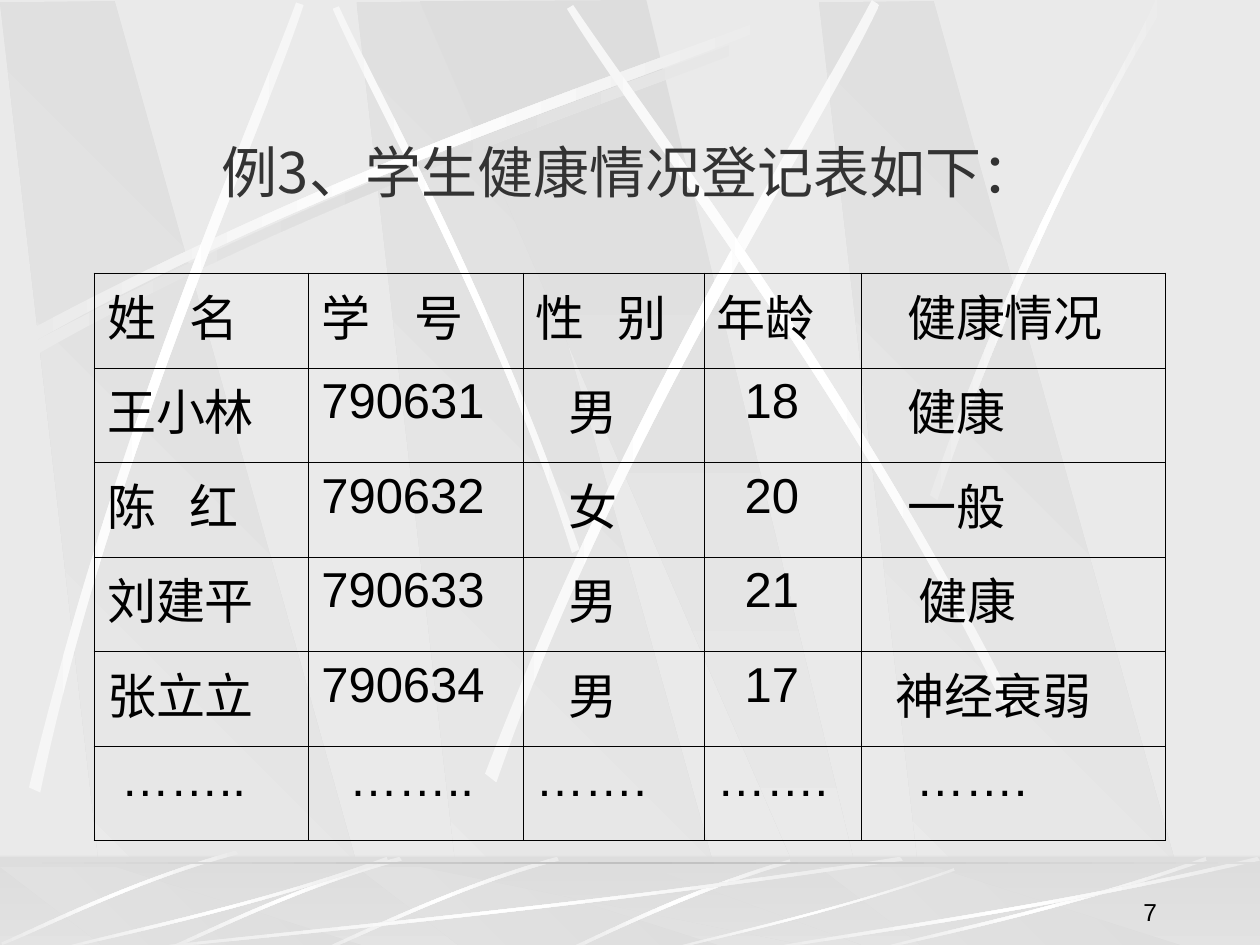
from dataclasses import dataclass
from typing import NamedTuple

from pptx import Presentation
from pptx.dml.color import RGBColor
from pptx.enum.shapes import MSO_SHAPE
from pptx.enum.text import MSO_ANCHOR, PP_ALIGN
from pptx.oxml.ns import qn
from pptx.oxml.xmlchemy import OxmlElement
from pptx.util import Inches, Pt


@dataclass(frozen=True)
class Theme:
    light: str = "EAEAEA"
    shade: str = "DDDDDD"
    soft: str = "F6F6F6"
    white: str = "FFFFFF"
    groove: str = "C0C0C0"
    title: str = "333333"
    text: str = "000000"
    latin: str = "Arial"
    chinese: str = "Noto Sans CJK SC"
    title_size: float = 32
    table_size: float = 28
    number_size: float = 14
    outer_border: float = 1.08
    inner_border: float = 0.45


THEME = Theme()
FADE = (THEME.shade, THEME.light)
SHADOW = (THEME.light, THEME.shade, THEME.light)
GLOW = (THEME.light, THEME.white, THEME.light)
SOFT_GLOW = (THEME.soft, THEME.white, THEME.soft)
GROOVE = (THEME.shade, THEME.groove, THEME.shade)


class Slab(NamedTuple):
    outline: tuple
    angle: int
    offsets: tuple = (0,)


class Streak(NamedTuple):
    outward: tuple
    inward: tuple
    offsets: tuple = ((0, 0),)
    colors: tuple = GLOW


class Entry(NamedTuple):
    text: str
    indent: float = 0
    tab: float = 0


WALL_SLABS = (
    Slab(((0.86, 7.51), (3.02, 7.53), (0.91, 0.01), (0, 0.02)), 135, (2.83, 0, 6.5)),
    Slab(((3.33, 0.01), (6.58, 7.51), (6.94, 7.51), (5.13, 0)), 90),
)
FLOOR_SLABS = (
    Slab(((0.86, 7.54), (3.02, 7.55), (0.91, 6.88), (0, 6.88)), 135, (2.83, 0, 6.5)),
    Slab(((3.33, 6.88), (6.58, 7.54), (6.94, 7.54), (5.13, 6.88)), 90),
)
BEAM = Streak(((0.14, 2.67), (2.78, 1.25), (5.18, 0.51), (6.2, 0.1)),
              ((6.23, 0.16), (5.22, 0.61), (2.48, 1.43), (0.17, 2.77)))
WALL_STREAKS = (
    BEAM._replace(offsets=((0.06, 0.08),), colors=SHADOW),
    Streak(((4.6, 4.36), (3.91, 2.34), (3.02, 0.77), (2.69, 0.05)),
           ((2.64, 0.07), (2.95, 0.79), (3.98, 2.58), (4.54, 4.39)), colors=SOFT_GLOW),
    BEAM,
    Streak(((0.23, 6.25), (0.93, 3.34), (1.97, 1.05), (2.35, 0.02)),
           ((2.41, 0.04), (2.07, 1.08), (0.86, 3.68), (0.32, 6.29)), colors=SOFT_GLOW),
    Streak(((3.85, 6.14), (4.98, 3.2), (6.38, 1.02), (6.92, 0)),
           ((6.98, 0.04), (6.49, 1.08), (4.86, 3.55), (3.94, 6.21)), colors=SOFT_GLOW),
    Streak(((8.06, 5.6), (6.7, 2.93), (5.16, 0.95), (4.55, 0.04)),
           ((4.5, 0.07), (5.07, 1.01), (6.85, 3.25), (7.99, 5.66)), colors=SOFT_GLOW),
    Streak(((7.38, 3.93), (8.14, 1.73), (8.88, 0.66), (9.17, 0)),
           ((9.27, 0), (8.36, 1.45), (7.69, 3.22), (7.44, 3.97))),
)
FLOOR_STREAKS = (
    Streak(((6.27, 6.82), (5.37, 7.09), (4.77, 7.42), (4.48, 7.54)),
           ((4.53, 7.55), (4.9, 7.37), (5.71, 7), (6.28, 6.85))),
    Streak(((4.42, 6.8), (3.55, 7.05), (2.87, 7.4), (2.56, 7.53)),
           ((2.57, 7.55), (2.88, 7.43), (3.65, 7.03), (4.44, 6.83)),
           ((0, 0), (-1.25, 0), (-2.55, -0.05))),
    Streak(((7.17, 6.83), (4.49, 7.23), (2.06, 7.44), (1.03, 7.55)),
           ((1, 7.54), (2.02, 7.41), (4.8, 7.18), (7.14, 6.8))),
    Streak(((3.08, 6.83), (1.93, 7.23), (0.88, 7.44), (0.43, 7.55)),
           ((0.42, 7.54), (0.86, 7.41), (2.06, 7.18), (3.07, 6.8)),
           ((0, 0), (6.5, 0))),
    Streak(((7.58, 6.91), (6.58, 7.26), (5.67, 7.45), (5.28, 7.55)),
           ((5.27, 7.54), (5.65, 7.43), (6.69, 7.22), (7.57, 6.89))),
    Streak(((10, 6.83), (8.27, 7.23), (6.69, 7.44), (6.02, 7.55)),
           ((6, 7.54), (6.66, 7.41), (8.46, 7.18), (9.98, 6.8))),
)

COLUMN_WIDTHS = (1.7, 1.7, 1.44, 1.25, 2.41)
ROW_HEIGHT = 0.75
HEADER = (Entry("姓\t名", tab=0.65), Entry("学\t号", tab=0.74),
          Entry("性\t别", tab=0.65), Entry("年龄"), Entry("健康情况", 0.26))
STUDENTS = (
    (Entry("王小林"), "790631", "男", "18", Entry("健康", 0.26)),
    (Entry("陈\t红", tab=0.65), "790632", "女", "20", Entry("一般", 0.26)),
    (Entry("刘建平"), "790633", "男", "21", Entry("健康", 0.35)),
    (Entry("张立立"), "790634", "男", "17", Entry("神经衰弱", 0.17)),
)
ELLIPSES = (Entry("……..", 0.11), Entry("……..", 0.22), Entry("……."),
            Entry("……."), Entry("…….", 0.33))
ROWS = (
    HEADER,
    *((name, Entry(number), Entry(gender, 0.26), Entry(age, 0.22), health)
      for name, number, gender, age, health in STUDENTS),
    ELLIPSES,
)


def add_color(parent, color: str) -> None:
    element = OxmlElement("a:srgbClr")
    element.set("val", color)
    parent.append(element)


def finish_shape(shape, colors: tuple, angle: int) -> None:
    shape.shadow.inherit = False
    shape.line.fill.background()
    shape.fill.gradient()
    shape.fill.gradient_angle = (360 - angle) % 360
    stops = next(shape.element.iter(qn("a:gsLst")))
    for stop in list(stops):
        stops.remove(stop)
    for index, color in enumerate(colors):
        stop = OxmlElement("a:gs")
        stop.set("pos", str(index * 100000 // (len(colors) - 1)))
        add_color(stop, color)
        stops.append(stop)


def add_outline(slide, outline: tuple, offset: tuple, colors: tuple, angle: int):
    points = [(Inches(x + offset[0]), Inches(y + offset[1])) for x, y in outline]
    builder = slide.shapes.build_freeform(*points[0])
    builder.add_line_segments(points[1:], close=True)
    shape = builder.convert_to_shape()
    finish_shape(shape, colors, angle)
    return shape


def add_slab(slide, slab: Slab) -> None:
    for across in slab.offsets:
        add_outline(slide, slab.outline, (across, 0), FADE, slab.angle)


def bend(segments: list) -> None:
    curve = OxmlElement("a:cubicBezTo")
    segments[0].addprevious(curve)
    for segment in segments:
        curve.append(segment[0])
        segment.getparent().remove(segment)


def add_streak(slide, streak: Streak) -> None:
    for offset in streak.offsets:
        shape = add_outline(slide, streak.outward + streak.inward, offset, streak.colors, 180)
        segments = list(shape.element.iter(qn("a:lnTo")))
        bend(segments[:3])
        bend(segments[4:7])


def add_band(slide, top: float, height: float, colors: tuple, angle: int):
    band = slide.shapes.add_shape(MSO_SHAPE.RECTANGLE, 0, Inches(top), Inches(10), Inches(height))
    finish_shape(band, colors, angle)
    return band


def add_backdrop(slide) -> None:
    for slab in WALL_SLABS:
        add_slab(slide, slab)
    for streak in WALL_STREAKS:
        add_streak(slide, streak)
    add_band(slide, 6.8, 0.75, FADE, 90)
    for slab in FLOOR_SLABS:
        add_slab(slide, slab)
    veil = add_band(slide, 6.79, 0.75, FADE, 90)
    veil.fill.solid()
    veil.fill.fore_color.rgb = RGBColor.from_string(THEME.shade)
    alpha = OxmlElement("a:alpha")
    alpha.set("val", "50000")
    next(veil.element.spPr.iter(qn("a:srgbClr"))).append(alpha)
    for streak in FLOOR_STREAKS:
        add_streak(slide, streak)
    add_band(slide, 6.84, 0.02, GROOVE, 180)


def format_runs(paragraph, size: float, color: str, latin: str, chinese: str) -> None:
    for run in paragraph.runs:
        run.font.size = Pt(size)
        run.font.name = latin
        run.font.color.rgb = RGBColor.from_string(color)
        east_asian = OxmlElement("a:ea")
        east_asian.set("typeface", chinese)
        run.font._element.find(qn("a:latin")).addnext(east_asian)


def add_title(slide) -> None:
    title = slide.shapes.title
    title.element.getparent().append(title.element)
    title.left, title.top, title.width, title.height = map(Inches, (0.75, 1.04, 8.5, 0.64))
    title.text_frame.text = "例3、学生健康情况登记表如下："
    title.text_frame.vertical_anchor = MSO_ANCHOR.MIDDLE
    paragraph = title.text_frame.paragraphs[0]
    paragraph.alignment = PP_ALIGN.CENTER
    format_runs(paragraph, THEME.title_size, THEME.title, THEME.chinese, THEME.chinese)


def add_border(cell, side: str, width: float) -> None:
    border = OxmlElement(f"a:ln{side}")
    border.set("w", str(Pt(width)))
    fill = OxmlElement("a:solidFill")
    add_color(fill, THEME.text)
    border.append(fill)
    cell._tc.get_or_add_tcPr().append(border)


def fill_cell(cell, entry: Entry) -> None:
    cell.text_frame.text = entry.text
    paragraph = cell.text_frame.paragraphs[0]
    properties = paragraph._p.get_or_add_pPr()
    properties.set("marL", str(Inches(entry.indent)))
    if entry.tab:
        tabs = OxmlElement("a:tabLst")
        tab = OxmlElement("a:tab")
        tab.set("pos", str(Inches(entry.tab)))
        tab.set("algn", "l")
        tabs.append(tab)
        properties.append(tabs)
    chinese = THEME.chinese if entry.text[0] >= "一" else THEME.latin
    format_runs(paragraph, THEME.table_size, THEME.text, THEME.latin, chinese)


def add_student_table(slide) -> None:
    row_count, column_count = len(ROWS), len(COLUMN_WIDTHS)
    frame = slide.shapes.add_table(row_count, column_count, Inches(0.75), Inches(2.17),
                                   Inches(sum(COLUMN_WIDTHS)), Inches(ROW_HEIGHT * row_count))
    table = frame.table
    table.first_row = table.horz_banding = False
    for column, width in zip(table.columns, COLUMN_WIDTHS):
        column.width = Inches(width)
    for row, entries in enumerate(ROWS):
        table.rows[row].height = Inches(ROW_HEIGHT)
        for column, entry in enumerate(entries):
            cell = table.cell(row, column)
            fill_cell(cell, entry)
            edges = {"L": column == 0, "R": column == column_count - 1,
                     "T": row == 0, "B": row == row_count - 1}
            for side, is_outer in edges.items():
                add_border(cell, side, THEME.outer_border if is_outer else THEME.inner_border)
            cell.fill.background()


def add_page_number(slide) -> None:
    box = slide.shapes.add_textbox(Inches(7.2), Inches(6.9), Inches(2.08), Inches(0.5))
    box.text_frame.word_wrap = True
    box.text_frame.vertical_anchor = MSO_ANCHOR.BOTTOM
    box.text_frame.text = "7"
    paragraph = box.text_frame.paragraphs[0]
    paragraph.alignment = PP_ALIGN.RIGHT
    format_runs(paragraph, THEME.number_size, THEME.text, THEME.latin, THEME.latin)


def main() -> None:
    presentation = Presentation()
    presentation.slide_width, presentation.slide_height = Inches(10), Inches(7.5)
    slide = presentation.slides.add_slide(presentation.slide_layouts[5])
    slide.background.fill.solid()
    slide.background.fill.fore_color.rgb = RGBColor.from_string(THEME.light)
    add_backdrop(slide)
    add_title(slide)
    add_student_table(slide)
    add_page_number(slide)
    presentation.save("out.pptx")


if __name__ == "__main__":
    main()
